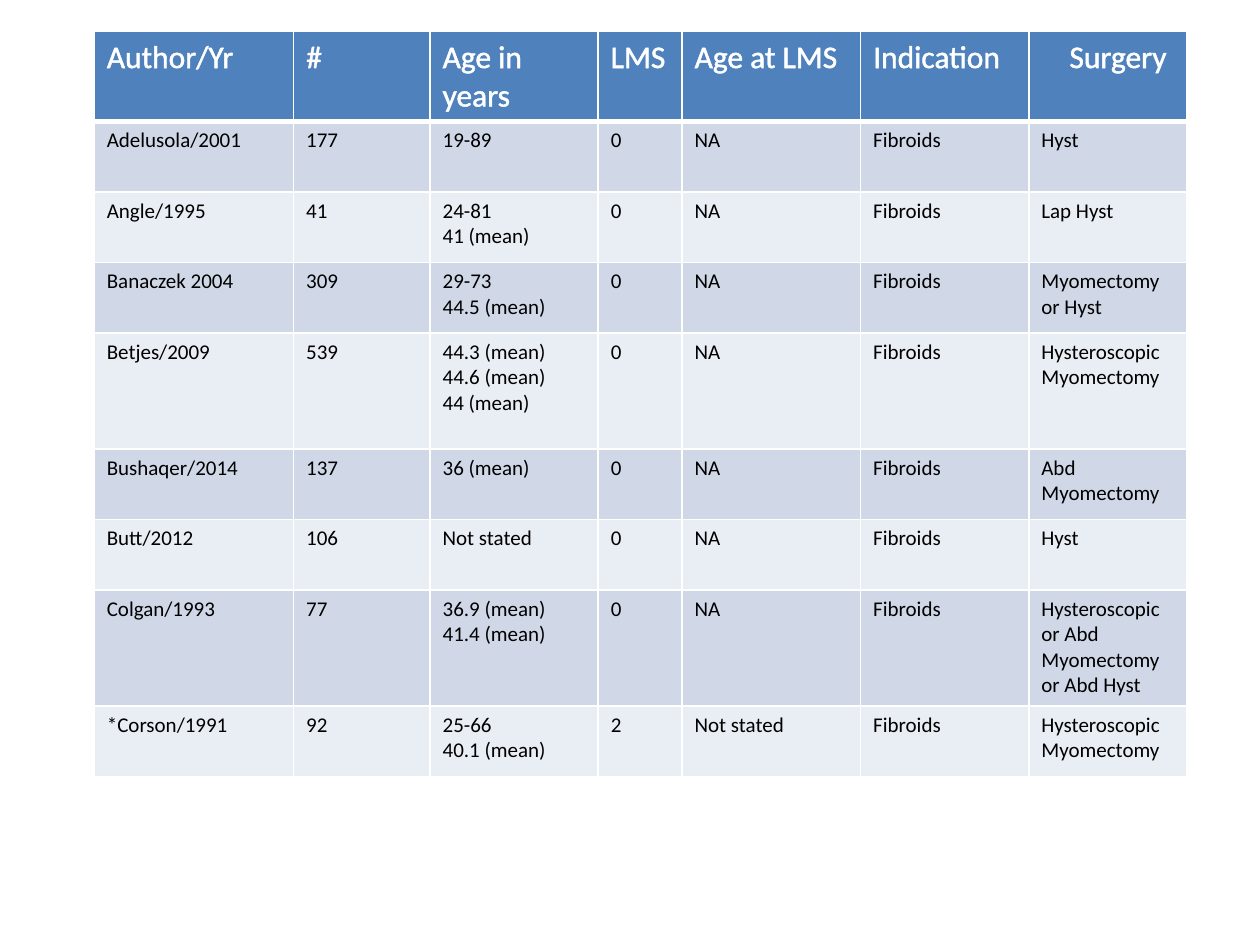
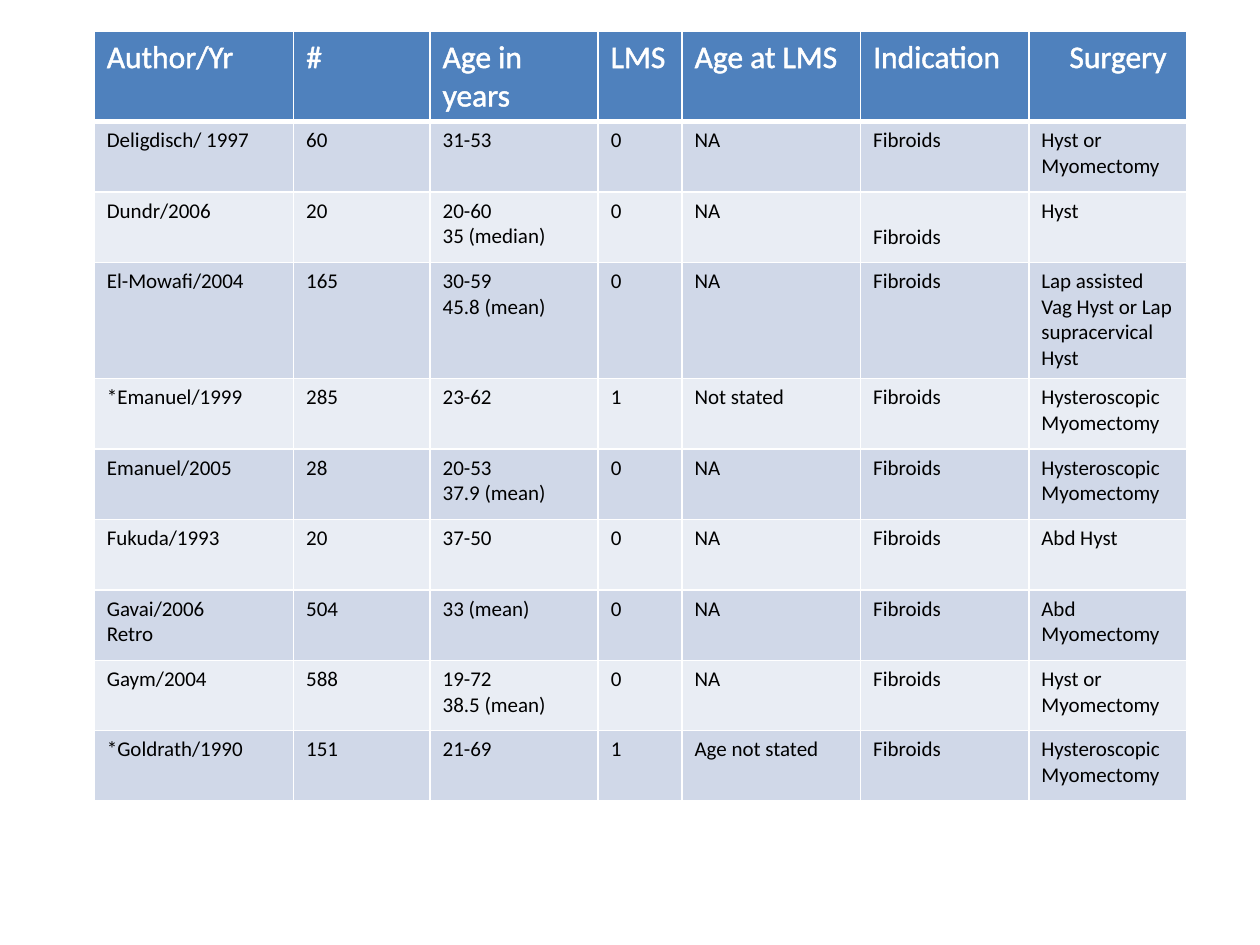
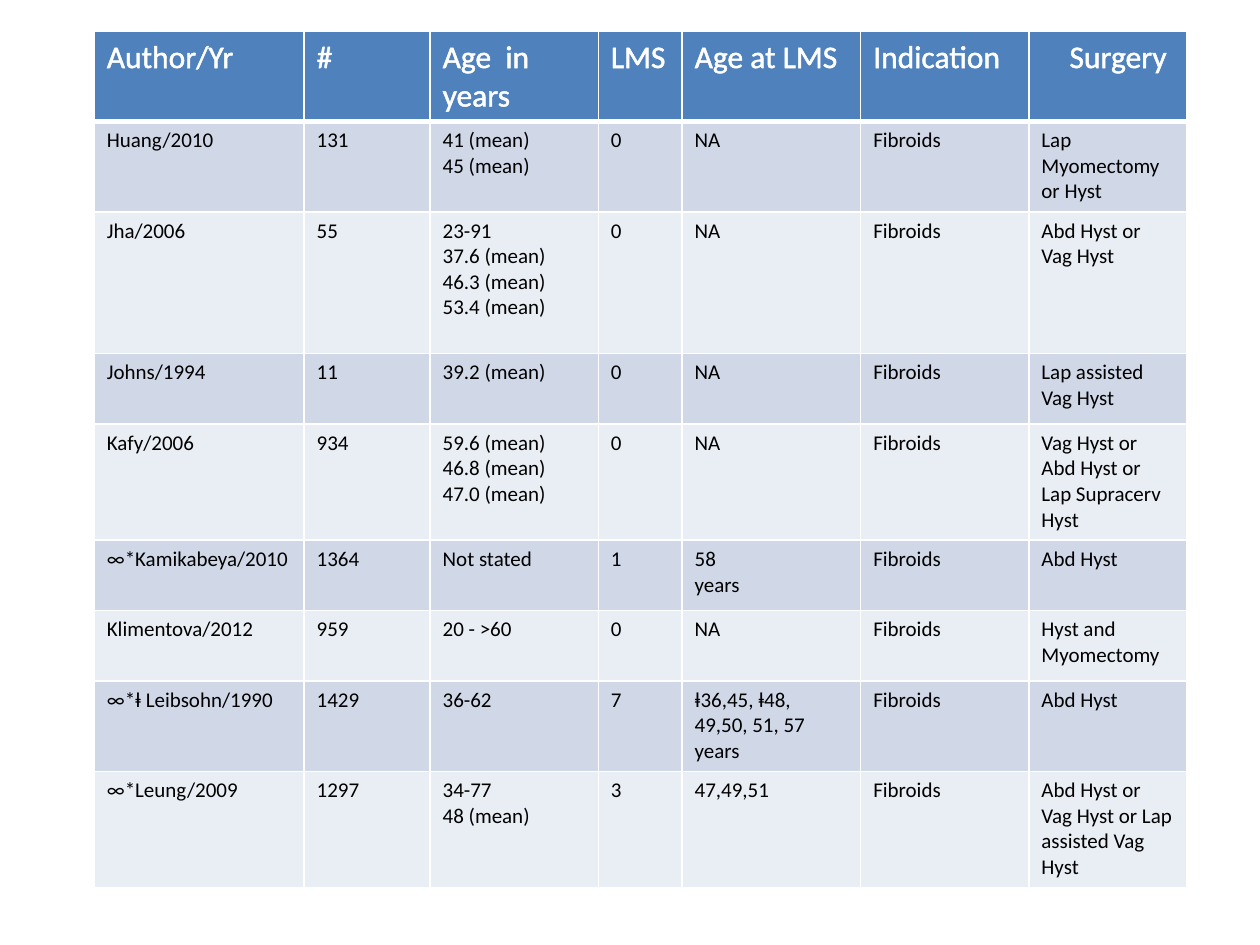
import pptx
import pptx.dml.color
import pptx.oxml.ns
import pptx.util
from lxml import etree

Cm = pptx.util.Cm
Pt = pptx.util.Pt

COLOURS = {
    "header": "4F81BD",
    "odd": "D0D8E8",
    "even": "E9EDF4",
    "white": "FFFFFF",
    "black": "000000",
}
FONT = "Calibri"
LEFT, TOP = 1.9, 0.64
HEADER_HEIGHT, SHORTEST_ROW = 1.81, 1.42
LINE_HEIGHT, MARGIN_TOP, MARGIN_LEFT = 0.52, 0.13, 0.25
SURGERY_INDENT = 0.57
OUTLINE = 1.45
THIN, THICK = 1, 3
INDICATION = "Fibroids"
SHARED_WIDTHS = (3.39, 1.69, 3.6, 3.39, 3.18)

TABLES = [
    {
        "widths": (4.02, 2.75),
        "ages": "Age in years",
        "studies": [
            (2, "Adelusola/2001", "177", "19-89", "0", "NA", "Hyst"),
            (2, "Angle/1995", "41", "24-81\n41 (mean)", "0", "NA", "Lap Hyst"),
            (2, "Banaczek 2004", "309", "29-73\n44.5 (mean)", "0", "NA", "Myomectomy or Hyst"),
            (4, "Betjes/2009", "539", "44.3 (mean)\n44.6 (mean)\n44 (mean)", "0", "NA",
             "Hysteroscopic Myomectomy"),
            (2, "Bushaqer/2014", "137", "36 (mean)", "0", "NA", "Abd Myomectomy"),
            (2, "Butt/2012", "106", "Not stated", "0", "NA", "Hyst"),
            (4, "Colgan/1993", "77", "36.9 (mean)\n41.4 (mean)", "0", "NA",
             "Hysteroscopic or Abd Myomectomy or Abd Hyst"),
            (2, "*Corson/1991", "92", "25-66\n40.1 (mean)", "2", "Not stated",
             "Hysteroscopic Myomectomy"),
        ],
    },
    {
        "widths": (4.02, 2.75),
        "ages": "Age in years",
        "lowered": "Dundr/2006",
        "studies": [
            (2, "Deligdisch/ 1997", "60", "31-53", "0", "NA", "Hyst or Myomectomy"),
            (2, "Dundr/2006", "20", "20-60\n35 (median)", "0", "NA", "Hyst"),
            (4, "El-Mowafi/2004", "165", "30-59\n45.8 (mean)", "0", "NA",
             "Lap assisted Vag Hyst or Lap supracervical Hyst"),
            (2, "*Emanuel/1999", "285", "23-62", "1", "Not stated", "Hysteroscopic Myomectomy"),
            (2, "Emanuel/2005", "28", "20-53\n37.9 (mean)", "0", "NA",
             "Hysteroscopic\nMyomectomy"),
            (2, "Fukuda/1993", "20", "37-50", "0", "NA", "Abd Hyst"),
            (2, "Gavai/2006\nRetro", "504", "33 (mean)", "0", "NA", "Abd Myomectomy"),
            (2, "Gaym/2004", "588", "19-72\n38.5 (mean)", "0", "NA", "Hyst or Myomectomy"),
            (2, "*Goldrath/1990", "151", "21-69", "1", "Age not stated",
             "Hysteroscopic Myomectomy"),
        ],
    },
    {
        "widths": (4.23, 2.54),
        "ages": "Age  in years",
        "studies": [
            (3, "Huang/2010", "131", "41 (mean)\n45 (mean)", "0", "NA",
             "Lap Myomectomy  or Hyst"),
            (5, "Jha/2006", "55", "23-91\n37.6 (mean)\n46.3 (mean)\n53.4 (mean)", "0", "NA",
             "Abd Hyst or Vag Hyst"),
            (2, "Johns/1994", "11", "39.2 (mean)", "0", "NA", "Lap assisted Vag Hyst"),
            (4, "Kafy/2006", "934", "59.6 (mean)\n46.8 (mean)\n47.0 (mean)", "0", "NA",
             "Vag Hyst or Abd Hyst or Lap Supracerv Hyst"),
            (2, "∞*Kamikabeya/2010", "1364", "Not stated", "1", "58\nyears", "Abd Hyst"),
            (2, "Klimentova/2012", "959", "20 - >60", "0", "NA", "Hyst and Myomectomy"),
            (3, "∞*ⱡ Leibsohn/1990", "1429", "36-62", "7",
             "ⱡ36,45, ⱡ48, 49,50, 51, 57\nyears", "Abd Hyst"),
            (4, "∞*Leung/2009", "1297", "34-77\n48 (mean)", "3", "47,49,51",
             "Abd Hyst or Vag Hyst or Lap assisted Vag Hyst"),
        ],
    },
]


def add_line(parent, tag, width):
    line = etree.SubElement(parent, pptx.oxml.ns.qn(tag), w=str(int(Pt(width))))
    fill = etree.SubElement(line, pptx.oxml.ns.qn("a:solidFill"))
    etree.SubElement(fill, pptx.oxml.ns.qn("a:srgbClr"), val=COLOURS["white"])
    return line


def write_text(cell, text, size=12, colour="black", outline=None):
    cell.text = text
    for paragraph in cell.text_frame.paragraphs:
        for run in paragraph.runs:
            run.font.name = FONT
            run.font.size = Pt(size)
            run.font.bold = False
            run.font.color.rgb = pptx.dml.color.RGBColor.from_string(COLOURS[colour])
            if outline:
                properties = run.font._element
                properties.insert(0, add_line(properties, "a:ln", outline))


def style_cell(cell, fill, top=THIN, bottom=THIN):
    properties = cell._tc.get_or_add_tcPr()
    for side, width in zip("LRTB", (THIN, THIN, top, bottom)):
        add_line(properties, f"a:ln{side}", width)
    cell.fill.solid()
    cell.fill.fore_color.rgb = pptx.dml.color.RGBColor.from_string(COLOURS[fill])


def add_study_table(slide, content):
    studies = content["studies"]
    widths = content["widths"] + SHARED_WIDTHS
    headings = ("Author/Yr", "#", content["ages"], "LMS", "Age at LMS", "Indication", "Surgery")
    heights = [HEADER_HEIGHT] + [
        max(SHORTEST_ROW, 2 * MARGIN_TOP + LINE_HEIGHT * study[0]) for study in studies
    ]
    table = slide.shapes.add_table(
        len(heights), len(widths), Cm(LEFT), Cm(TOP), Cm(sum(widths)), Cm(sum(heights))
    ).table
    table.horz_banding = False
    for column, width in zip(table.columns, widths):
        column.width = Cm(width)
    for row, height in zip(table.rows, heights):
        row.height = Cm(height)

    for cell, heading in zip(table.rows[0].cells, headings):
        write_text(cell, heading, size=18, colour="white", outline=OUTLINE)
        style_cell(cell, "header", bottom=THICK)
    table.cell(0, len(widths) - 1).margin_left = Cm(MARGIN_LEFT + SURGERY_INDENT)

    for index, (_, *values, surgery) in enumerate(studies, start=1):
        for cell, text in zip(table.rows[index].cells, (*values, INDICATION, surgery)):
            write_text(cell, text)
            style_cell(cell, "odd" if index % 2 else "even", top=THICK if index == 1 else THIN)
        if values[0] == content.get("lowered"):
            indication_cell = table.cell(index, headings.index("Indication"))
            indication_cell.margin_top = Cm(MARGIN_TOP + LINE_HEIGHT)


def main():
    presentation = pptx.Presentation()
    presentation.slide_width = Cm(25.4)
    presentation.slide_height = Cm(19.05)
    for content in TABLES:
        slide = presentation.slides.add_slide(presentation.slide_layouts[6])
        add_study_table(slide, content)
    presentation.save("out.pptx")


if __name__ == "__main__":
    main()
